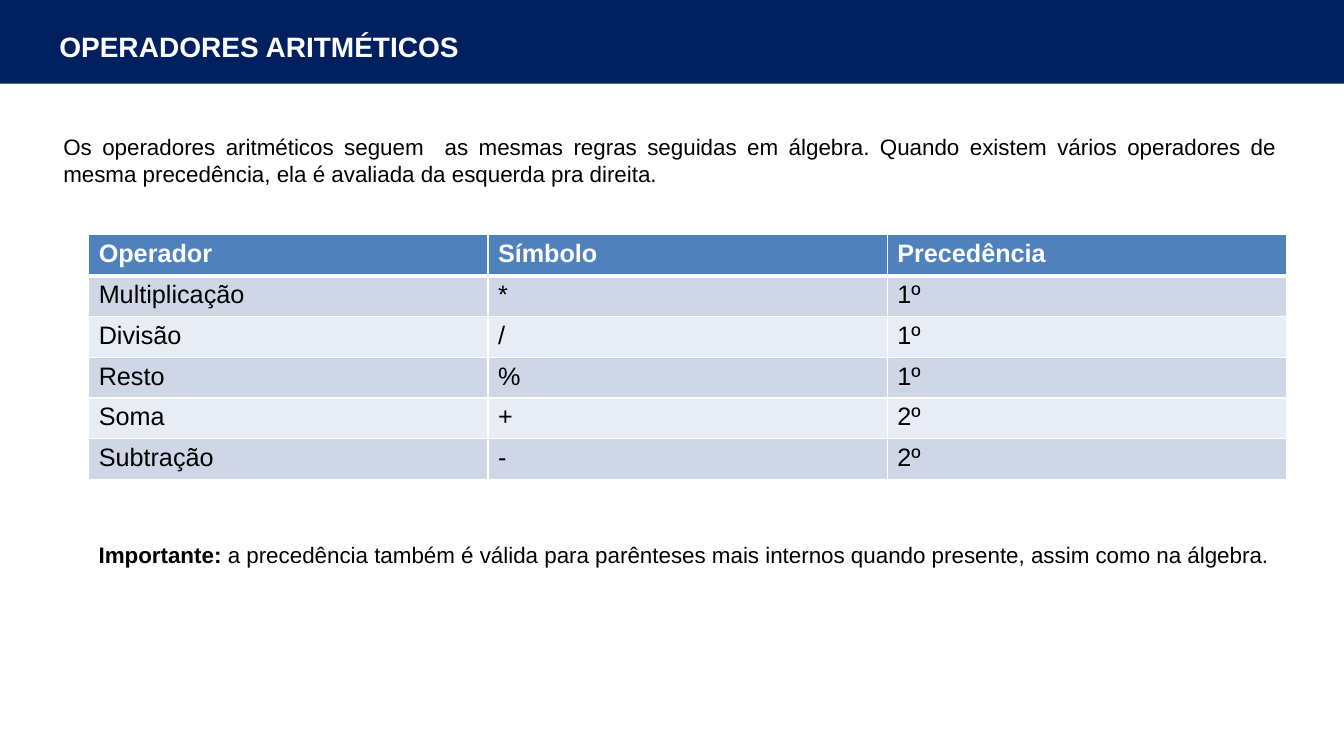
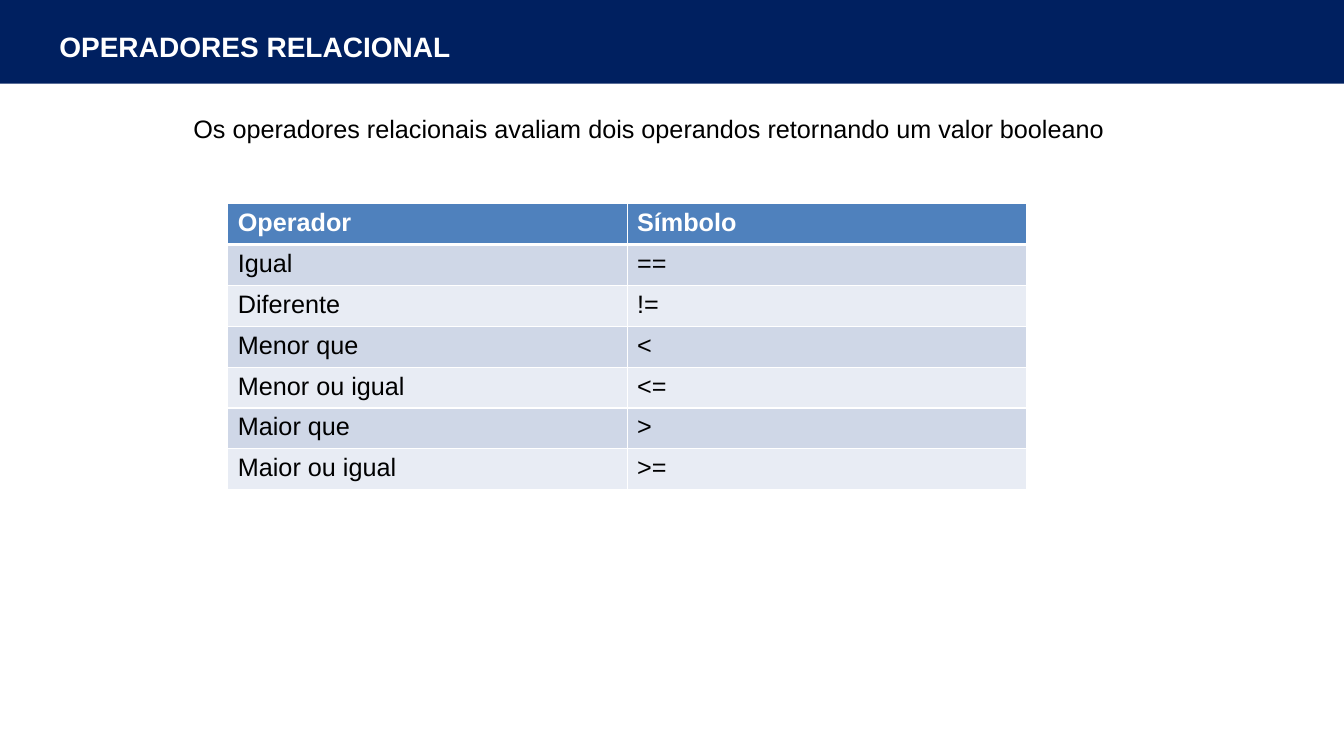
from lxml import etree
from pptx import Presentation
from pptx.dml.color import RGBColor
from pptx.enum.shapes import MSO_SHAPE
from pptx.enum.text import MSO_ANCHOR, PP_ALIGN
from pptx.oxml.ns import qn
from pptx.util import Inches, Pt

RECTANGLE = MSO_SHAPE.RECTANGLE
LEFT, JUSTIFY = PP_ALIGN.LEFT, PP_ALIGN.JUSTIFY
TOP, MIDDLE = MSO_ANCHOR.TOP, MSO_ANCHOR.MIDDLE

FONT = "Arial"
WHITE, BLACK = "FFFFFF", "000000"
NAVY, HEADER_BLUE = "002060", "4F81BD"
ROW_FILLS = ("CFD7E7", "E8ECF4")
COLUMN_WIDTH = 3.96
THIN, THICK = 1, 3


def rgb(value):
    return RGBColor.from_string(value)


def add_span(para, text, size=18, color=BLACK, bold=False):
    span = para.add_run()
    span.text = text
    font = span.font
    font.name, font.size, font.bold = FONT, Pt(size), bold
    font.color.rgb = rgb(color)


def add_text(page, text, left, top, width, height, lead="", align=LEFT,
             anchor=TOP, **font):
    """Add a wrapped text box; lead is an optional bold opening."""
    box = page.shapes.add_textbox(Inches(left), Inches(top),
                                  Inches(width), Inches(height))
    frame = box.text_frame
    frame.word_wrap = True
    frame.vertical_anchor = anchor
    para = frame.paragraphs[0]
    para.alignment = align
    if lead:
        add_span(para, lead, **{**font, "bold": True})
    add_span(para, text, **font)


def add_page(deck, title):
    """Add a blank page with the navy band and its title."""
    page = deck.slides.add_slide(deck.slide_layouts[6])
    band = page.shapes.add_shape(RECTANGLE, Inches(-0.01), 0,
                                 Inches(13.35), Inches(0.83))
    band.shadow.inherit = False
    band.fill.solid()
    band.fill.fore_color.rgb = rgb(NAVY)
    band.line.fill.background()
    add_text(page, title, 0.49, 0.14, 4.54, 0.64, anchor=MIDDLE,
             size=20, color=WHITE, bold=True)
    return page


def set_borders(cell, top, bottom):
    """Draw white cell borders; call before filling, as the schema orders them."""
    properties = cell._tc.get_or_add_tcPr()
    sides = {"a:lnL": THIN, "a:lnR": THIN, "a:lnT": top, "a:lnB": bottom}
    for tag, points in sides.items():
        line = etree.SubElement(properties, qn(tag), w=str(Pt(points)))
        fill = etree.SubElement(line, qn("a:solidFill"))
        etree.SubElement(fill, qn("a:srgbClr"), val=WHITE)


def add_operator_table(page, rows, left, top, height):
    """Add a table with a header row and alternating body rows."""
    columns = len(rows[0])
    table = page.shapes.add_table(
        len(rows), columns, Inches(left), Inches(top),
        Inches(COLUMN_WIDTH * columns), Inches(height)).table
    for row_index, row in enumerate(rows):
        header = row_index == 0
        fill = HEADER_BLUE if header else ROW_FILLS[(row_index - 1) % 2]
        for column_index, text in enumerate(row):
            cell = table.cell(row_index, column_index)
            set_borders(cell, top=THICK if row_index == 1 else THIN,
                        bottom=THICK if header else THIN)
            cell.fill.solid()
            cell.fill.fore_color.rgb = rgb(fill)
            add_span(cell.text_frame.paragraphs[0], text,
                     color=WHITE if header else BLACK, bold=header)


def add_arithmetic_page(deck):
    page = add_page(deck, "OPERADORES ARITMÉTICOS")
    add_text(page, "Os operadores aritméticos seguem  as mesmas regras seguidas "
             "em álgebra. Quando existem vários operadores de mesma precedência, "
             "ela é avaliada da esquerda pra direita.",
             0.53, 1.27, 12.23, 0.64, align=JUSTIFY, size=16)
    add_operator_table(page, [
        ("Operador", "Símbolo", "Precedência"),
        ("Multiplicação", "*", "1º"),
        ("Divisão", "/", "1º"),
        ("Resto", "%", "1º"),
        ("Soma", "+", "2º"),
        ("Subtração", "-", "2º"),
    ], left=0.88, top=2.33, height=2.43)
    add_text(page, " a precedência também é válida para parênteses mais internos "
             "quando presente, assim como na álgebra.",
             0.88, 5.32, 11.88, 0.37, lead="Importante:", size=16)


def add_relational_page(deck):
    page = add_page(deck, "OPERADORES RELACIONAL")
    add_text(page, "Os operadores relacionais avaliam dois operandos retornando "
             "um valor booleano", 1.82, 1.08, 10, 0.4)
    add_operator_table(page, [
        ("Operador", "Símbolo"),
        ("Igual", "=="),
        ("Diferente", "!="),
        ("Menor que", "<"),
        ("Menor ou igual", "<="),
        ("Maior que", ">"),
        ("Maior ou igual", ">="),
    ], left=2.26, top=2.02, height=2.84)


def main():
    deck = Presentation()
    deck.slide_width, deck.slide_height = Inches(13.33), Inches(7.5)
    add_arithmetic_page(deck)
    add_relational_page(deck)
    deck.save("out.pptx")


if __name__ == "__main__":
    main()
